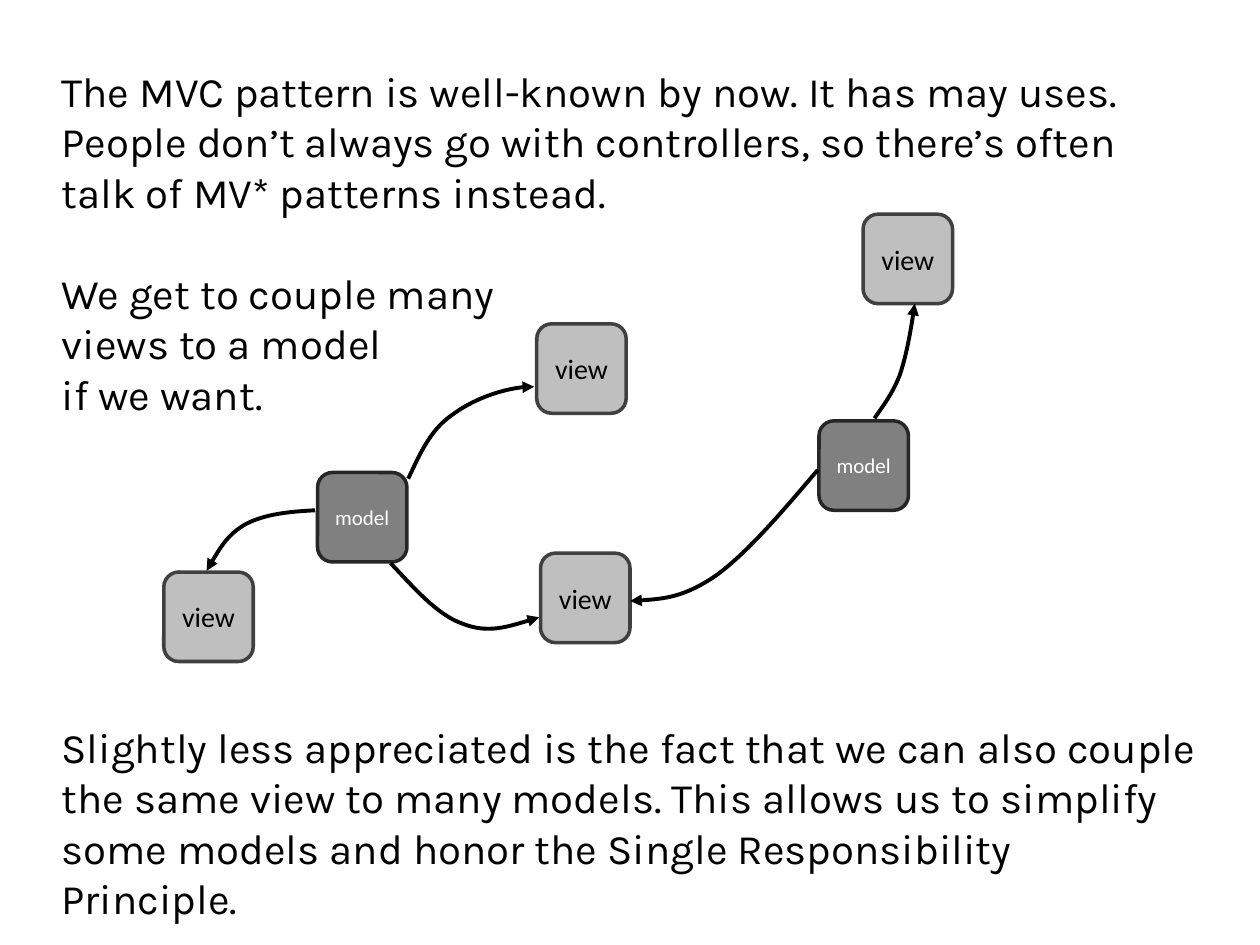
from pptx import Presentation
from pptx.dml.color import RGBColor
from pptx.enum.shapes import MSO_SHAPE
from pptx.enum.text import MSO_ANCHOR, PP_ALIGN
from pptx.oxml import parse_xml
from pptx.oxml.ns import nsdecls, qn
from pptx.util import Inches, Pt

ROUNDED = MSO_SHAPE.ROUNDED_RECTANGLE
MIDDLE = MSO_ANCHOR.MIDDLE
CENTER, LEFT = PP_ALIGN.CENTER, PP_ALIGN.LEFT

BLACK = RGBColor(0x00, 0x00, 0x00)
WHITE = RGBColor(0xFF, 0xFF, 0xFF)
MODEL_FILL = RGBColor(0x80, 0x80, 0x80)
MODEL_LINE = RGBColor(0x26, 0x26, 0x26)
VIEW_FILL = RGBColor(0xBF, 0xBF, 0xBF)
VIEW_LINE = RGBColor(0x40, 0x40, 0x40)

BOX_SIDE = 0.71
BOX_STYLES = {
    "model": dict(fill=MODEL_FILL, line=MODEL_LINE, size=12, color=WHITE),
    "view": dict(fill=VIEW_FILL, line=VIEW_LINE, size=16, color=BLACK),
}


def write_text(para, text, size=24, font="Karla", color=BLACK, align=LEFT, before=0):
    para.alignment = align
    para.space_before = Pt(before)
    span = para.add_run()
    span.text = text
    span.font.size = Pt(size)
    span.font.name = font
    span.font.color.rgb = color


def draw_curved_arrow(page, points):
    """Draw cubic curves through a start point followed by groups of three points."""
    start, *rest = [(Inches(x), Inches(y)) for x, y in points]
    builder = page.shapes.build_freeform(*start)
    builder.add_line_segments(rest, close=False)
    arrow = builder.convert_to_shape()
    arrow.shadow.inherit = False
    arrow.fill.background()
    arrow.line.color.rgb = BLACK
    arrow.line.width = Pt(2.25)

    # Turn each three straight segments into one cubic curve
    properties = arrow.element.spPr
    segments = list(properties.iter(qn("a:lnTo")))
    for first in range(0, len(segments), 3):
        curve = parse_xml(f"<a:cubicBezTo {nsdecls('a')}/>")
        segments[first].addprevious(curve)
        for segment in segments[first:first + 3]:
            curve.append(segment[0])
            segment.getparent().remove(segment)
    properties.find(qn("a:ln")).append(
        parse_xml(f'<a:tailEnd {nsdecls("a")} type="triangle"/>'))


deck = Presentation()
deck.slide_width, deck.slide_height = Inches(10), Inches(7.5)
page = deck.slides.add_slide(deck.slide_layouts[6])

# Models and views
boxes = [
    ("model", 2.52, 3.75),
    ("view", 4.29, 4.39),
    ("view", 4.26, 2.57),
    ("view", 1.30, 4.54),
    ("model", 6.50, 3.34),
    ("view", 6.85, 1.70),
]
for label, left, top in boxes:
    style = BOX_STYLES[label]
    box = page.shapes.add_shape(ROUNDED, Inches(left), Inches(top),
                                Inches(BOX_SIDE), Inches(BOX_SIDE))
    box.shadow.inherit = False
    box.fill.solid()
    box.fill.fore_color.rgb = style["fill"]
    box.line.color.rgb = style["line"]
    box.line.width = Pt(2)
    frame = box.text_frame
    frame.vertical_anchor = MIDDLE
    frame.word_wrap = False
    write_text(frame.paragraphs[0], label, size=style["size"], font="Calibri",
               color=style["color"], align=CENTER)

# Arrows from models to views
arrows = [
    [(3.24, 3.80), (3.33, 3.61), (3.41, 3.42), (3.58, 3.30),
     (3.75, 3.17), (4.06, 3.06), (4.24, 3.07)],
    [(3.10, 4.47), (3.29, 4.67), (3.47, 4.88), (3.67, 4.95),
     (3.87, 5.03), (4.08, 4.96), (4.28, 4.90)],
    [(2.50, 4.05), (2.30, 4.06), (2.10, 4.08), (1.95, 4.16),
     (1.81, 4.24), (1.72, 4.39), (1.64, 4.53)],
    [(6.49, 3.73), (6.21, 4.06), (5.93, 4.39), (5.68, 4.57),
     (5.43, 4.74), (5.22, 4.76), (5.00, 4.77)],
    [(6.94, 3.32), (7.01, 3.22), (7.08, 3.13), (7.14, 2.98),
     (7.19, 2.83), (7.23, 2.62), (7.26, 2.41)],
]
for points in arrows:
    draw_curved_arrow(page, points)

# Running text, with room left for the diagram
paragraphs = [
    ("The MVC pattern is well-known by now. It has may uses. People don’t always go "
     "with controllers, so there’s often talk of MV* patterns instead.", 0),
    ("We get to couple many", 29),
    ("views to a model", 0),
    ("if we want.", 0),
    ("Slightly less appreciated is the fact that we can also couple the same view to "
     "many models. This allows us to simplify some models and honor the Single "
     "Responsibility Principle.", 173),
]
text_box = page.shapes.add_textbox(Inches(0.39), Inches(0.47), Inches(9.21), Inches(6.56))
frame = text_box.text_frame
frame.word_wrap = True
for index, (text, before) in enumerate(paragraphs):
    para = frame.add_paragraph() if index else frame.paragraphs[0]
    write_text(para, text, before=before)

deck.save("out.pptx")
